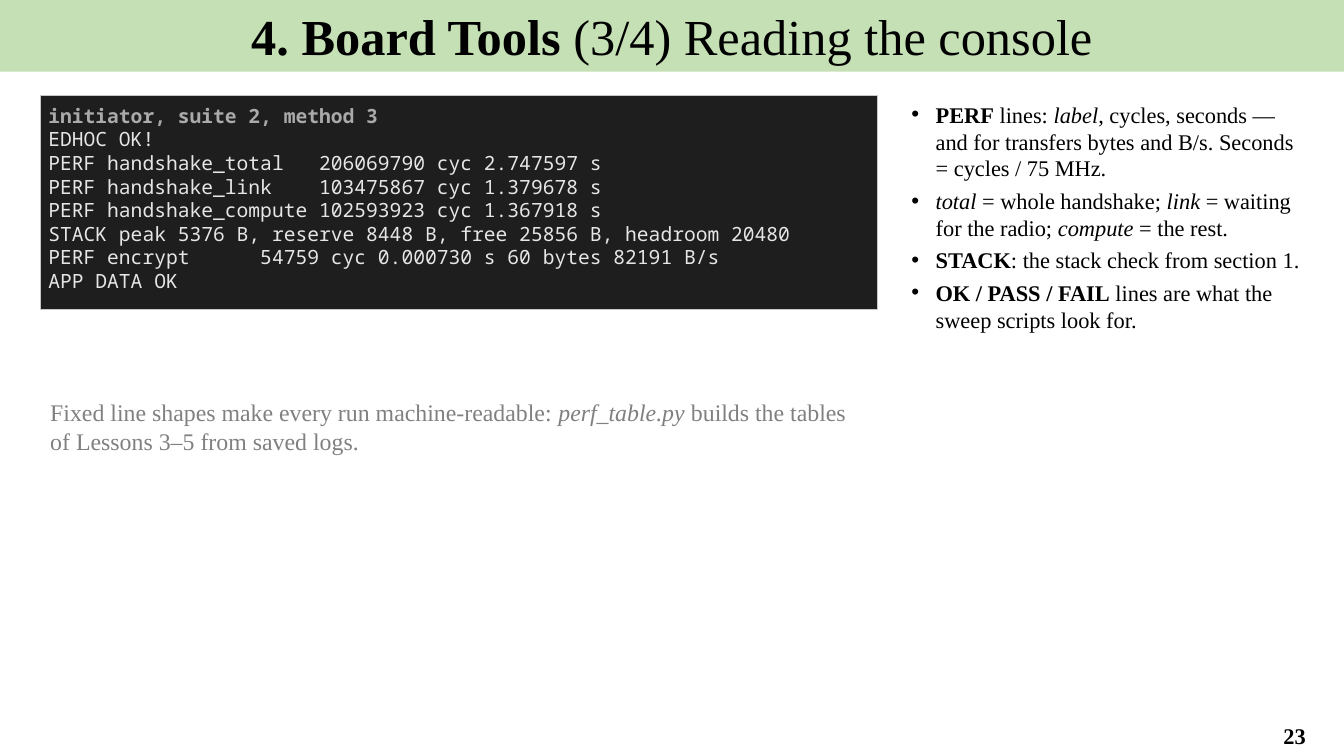
"""Build the slide on reading the board console."""
from dataclasses import dataclass
from typing import Any, NamedTuple

from lxml import etree
from pptx import Presentation
from pptx.dml.color import RGBColor
from pptx.enum.shapes import MSO_SHAPE
from pptx.enum.text import MSO_ANCHOR, MSO_AUTO_SIZE, PP_ALIGN
from pptx.oxml.ns import qn
from pptx.util import Inches, Pt

RECT = MSO_SHAPE.RECTANGLE
TOP, MID = MSO_ANCHOR.TOP, MSO_ANCHOR.MIDDLE
LEFT, MIDST = PP_ALIGN.LEFT, PP_ALIGN.CENTER
FIXED = MSO_AUTO_SIZE.NONE
CELL = 0.1


@dataclass(frozen=True)
class Theme:
    serif: str = "Times New Roman"
    mono: str = "Noto Sans Mono"
    ink: str = "000000"
    band: str = "C5E0B4"
    panel: str = "1E1E1E"
    edge: str = "C8C8C8"
    code: str = "E6E6E6"
    dim: str = "AAAAAA"
    muted: str = "808080"
    head: float = 36
    note: float = 17
    body: float = 16
    log: float = 14


class Area(NamedTuple):
    col: float
    row: float
    cols: float
    rows: float


class Run(NamedTuple):
    text: str
    bold: bool = False
    slant: bool = False
    color: str = ""


Line = list[Run]
THEME = Theme()
HEAD = Area(0, 0, 133.3, 7.1)
LOG = Area(4, 9.5, 83, 21.2)
LIST = Area(89, 9.5, 42, 58)
NOTE = Area(4, 39, 83, 12)
PAGE = Area(123.5, 71, 9.8, 3.9)

TITLE: list[Line] = [[Run("4. Board Tools ", bold=True),
                      Run("(3/4) Reading the console")]]
OUTPUT = """EDHOC OK!
PERF handshake_total   206069790 cyc 2.747597 s
PERF handshake_link    103475867 cyc 1.379678 s
PERF handshake_compute 102593923 cyc 1.367918 s
STACK peak 5376 B, reserve 8448 B, free 25856 B, headroom 20480
PERF encrypt      54759 cyc 0.000730 s 60 bytes 82191 B/s
APP DATA OK"""
POINTS: list[Line] = [
    [Run("PERF", bold=True), Run(" lines: "), Run("label", slant=True),
     Run(", cycles, seconds — and for transfers bytes and B/s. "
         "Seconds = cycles / 75 MHz.")],
    [Run("total", slant=True), Run(" = whole handshake; "),
     Run("link", slant=True), Run(" = waiting for the radio; "),
     Run("compute", slant=True), Run(" = the rest.")],
    [Run("STACK", bold=True), Run(": the stack check from section 1.")],
    [Run("OK / PASS / FAIL", bold=True),
     Run(" lines are what the sweep scripts look for.")],
]
REMARK: list[Line] = [[
    Run("Fixed line shapes make every run machine-readable: "),
    Run("perf_table.py", slant=True),
    Run(" builds the tables of Lessons 3–5 from saved logs.")]]


def span(area: Area) -> list[int]:
    """Turn grid cells into lengths."""
    return [Inches(part * CELL) for part in area]


def place(shape: Any, area: Area) -> Any:
    """Move a placeholder to its area."""
    shape.left, shape.top, shape.width, shape.height = span(area)
    return shape


def paint(shape: Any, color: str) -> None:
    """Fill a shape with one colour."""
    shape.fill.solid()
    shape.fill.fore_color.rgb = RGBColor.from_string(color)


def mark(para: Any) -> None:
    """Give a paragraph a hanging bullet."""
    props = para._p.get_or_add_pPr()
    props.set("marL", str(Inches(0.28)))
    props.set("indent", str(Inches(-0.24)))
    etree.SubElement(props, qn("a:buChar")).set("char", "•")


def write(shape: Any, lines: list[Line], *, size: float,
          font: str = THEME.serif, color: str = THEME.ink,
          align: PP_ALIGN = LEFT, anchor: MSO_ANCHOR = TOP, after: float = 0,
          bullet: bool = False, wrap: bool = True,
          pad: tuple[float, float] = (0.1, 0.05)) -> None:
    """Set formatted lines of text in a shape."""
    frame = shape.text_frame
    frame.auto_size, frame.word_wrap = FIXED, wrap
    frame.vertical_anchor = anchor
    frame.margin_left = frame.margin_right = Inches(pad[0])
    frame.margin_top = frame.margin_bottom = Inches(pad[1])
    for order, line in enumerate(lines):
        para = frame.add_paragraph() if order else frame.paragraphs[0]
        para.alignment = align
        para.space_before, para.space_after = Pt(0), Pt(after)
        if bullet:
            mark(para)
        for item in line:
            run = para.add_run()
            run.text = item.text
            face = run.font
            face.name, face.size = font, Pt(size)
            face.bold, face.italic = item.bold, item.slant
            face.color.rgb = RGBColor.from_string(item.color or color)


def main() -> None:
    """Build and save the slide."""
    deck = Presentation()
    deck.slide_width, deck.slide_height = Inches(13.33), Inches(7.5)
    slide = deck.slides.add_slide(deck.slide_layouts[1])
    shapes = slide.shapes

    title = place(shapes.title, HEAD)
    paint(title, THEME.band)
    write(title, TITLE, size=THEME.head, align=MIDST)

    panel = shapes.add_shape(RECT, *span(LOG))
    panel.shadow.inherit = False
    paint(panel, THEME.panel)
    panel.line.color.rgb = RGBColor.from_string(THEME.edge)
    panel.line.width = Pt(0.75)
    log = [[Run("initiator, suite 2, method 3", bold=True, color=THEME.dim)]]
    log += [[Run(text)] for text in OUTPUT.splitlines()]
    write(panel, log, size=THEME.log, font=THEME.mono, color=THEME.code,
          wrap=False, pad=(0.08, 0.08))

    points = place(slide.placeholders[1], LIST)
    write(points, POINTS, size=THEME.body, after=4, bullet=True)
    write(shapes.add_textbox(*span(NOTE)), REMARK, size=THEME.note,
          color=THEME.muted, after=4)
    write(shapes.add_textbox(*span(PAGE)), [[Run("23", bold=True)]],
          size=THEME.body, align=MIDST, anchor=MID)
    deck.save("out.pptx")


if __name__ == "__main__":
    main()
